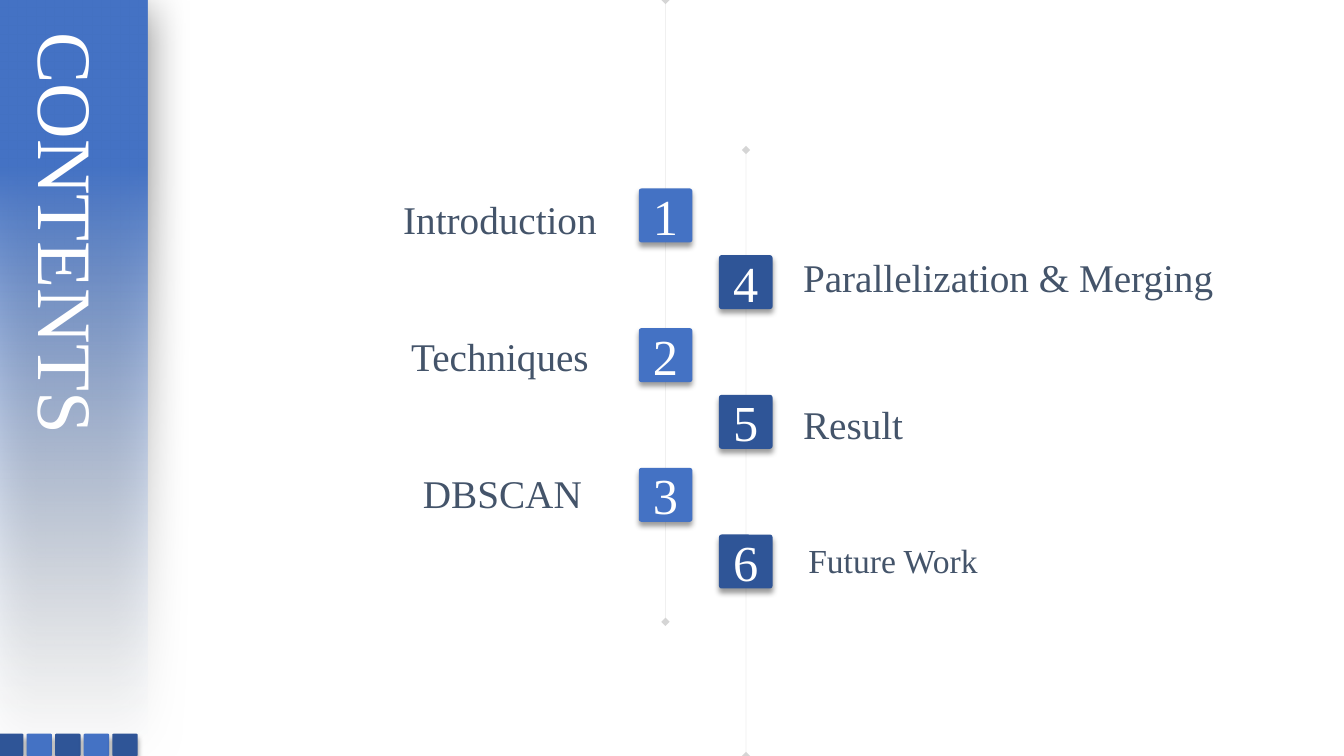
from dataclasses import dataclass

from lxml import etree
from pptx import Presentation
from pptx import util as u
from pptx.dml.color import RGBColor
from pptx.enum import shapes, text
from pptx.oxml import parse_xml
from pptx.oxml.ns import nsdecls, qn
from pptx.util import Cm


@dataclass(frozen=True)
class Theme:
    font: str = "Times New Roman"
    blue: str = "4472C4"
    navy: str = "2F5597"
    pale: str = "F7FAFD"
    ink: str = "44546A"
    white: str = "FFFFFF"
    gray: str = "808080"
    title: int = 55
    num: int = 36
    label: int = 28
    small: int = 24


T = Theme()
MID = text.PP_ALIGN.CENTER
LEFT = text.PP_ALIGN.LEFT


def write(frame, words, size=T.label, color=T.ink, align=LEFT,
          anchor=text.MSO_ANCHOR.TOP, wrap=True):
    frame.word_wrap = wrap
    frame.vertical_anchor = anchor
    frame.text = words
    para = frame.paragraphs[0]
    para.alignment = align
    font = para.font
    font.name, font.size = T.font, u.Pt(size)
    font.color.rgb = RGBColor.from_string(color)


def shade(shape, alpha, blur, dist, angle):
    """Give the shape an outer shadow; blur and dist are in points."""
    shape.element.spPr.append(parse_xml(
        f'<a:effectLst {nsdecls("a")}><a:outerShdw blurRad="{u.Pt(blur)}" '
        f'dist="{u.Pt(dist)}" dir="{angle * 60000}" algn="t" rotWithShape="0">'
        f'<a:srgbClr val="000000"><a:alpha val="{alpha * 1000}"/></a:srgbClr>'
        '</a:outerShdw></a:effectLst>'))


def tile(slide, x, y, w, h, color):
    box = slide.shapes.add_shape(
        shapes.MSO_SHAPE.ROUNDED_RECTANGLE, Cm(x), Cm(y), Cm(w), Cm(h))
    box.adjustments[0] = 0.05
    box.fill.solid()
    box.fill.fore_color.rgb = RGBColor.from_string(color)
    box.line.fill.background()
    shade(box, 40, 4, 3, 90)
    return box


def rail(slide, x, top, end):
    """Draw a faint vertical line with a diamond at each end."""
    line = slide.shapes.add_connector(
        shapes.MSO_CONNECTOR.STRAIGHT, Cm(x), Cm(top), Cm(x), Cm(end))
    line.line.width = u.Pt(0.25)
    line.line.color.rgb = RGBColor.from_string(T.gray)
    ln = line.line._get_or_add_ln()
    tint = ln.find(".//" + qn("a:srgbClr"))
    etree.SubElement(tint, qn("a:alpha")).set("val", "33000")
    for tag in ("a:headEnd", "a:tailEnd"):
        etree.SubElement(ln, qn(tag)).set("type", "diamond")
    etree.SubElement(line.element.spPr, qn("a:effectLst"))


def side(slide, x, y, w, h):
    """Draw the fading band, its row of tiles and the upright title."""
    band = slide.shapes.add_shape(
        shapes.MSO_SHAPE.RECTANGLE, Cm(x), Cm(y), Cm(w), Cm(h - 0.1))
    band.line.fill.background()
    band.element.spPr.find(qn("a:prstGeom")).addnext(parse_xml(
        f'<a:gradFill {nsdecls("a")} rotWithShape="1"><a:gsLst>'
        f'<a:gs pos="0"><a:srgbClr val="{T.blue}"/></a:gs>'
        f'<a:gs pos="22000"><a:srgbClr val="{T.blue}"/></a:gs>'
        f'<a:gs pos="100000"><a:srgbClr val="{T.pale}"><a:alpha val="0"/>'
        '</a:srgbClr></a:gs></a:gsLst><a:lin ang="5400000" scaled="0"/>'
        '</a:gradFill>'))
    shade(band, 50, 31, 6, 97)

    for i in range(5):
        tile(slide, x - 0.05 + i * 0.72, y + h - 0.56, 0.64, 0.56,
             T.blue if i % 2 else T.navy)

    title = slide.shapes.title
    title.left, title.top = Cm(x + 0.3), Cm(y + 0.69)
    title.width, title.height = Cm(2.87), Cm(12.55)
    write(title.text_frame, "CONTENTS", size=T.title, color=T.white)
    title.text_frame.auto_size = text.MSO_AUTO_SIZE.NONE
    title.text_frame._txBody.bodyPr.set("vert", "eaVert")
    band.element.getparent().append(title.element)  # bring above the band


def column(slide, x, y, first, color, items, align):
    """Stack numbered tiles; items hold text, label offset, width and size."""
    for i, (words, dx, dy, w, size) in enumerate(items):
        top = y + i * 3.52
        box = tile(slide, x, top, 1.35, 1.36, color)
        write(box.text_frame, str(first + i), size=T.num, color=T.white,
              align=MID, anchor=text.MSO_ANCHOR.MIDDLE)
        label = slide.shapes.add_textbox(
            Cm(x + dx), Cm(top + dy), Cm(w), Cm(1.45))
        write(label.text_frame, words, size=size, align=align)


def main():
    deck = Presentation()
    deck.slide_width, deck.slide_height = Cm(33.87), Cm(19.05)
    slide = deck.slides.add_slide(deck.slide_layouts.get_by_name("Title Only"))

    rail(slide, 18.8, 3.78, 19.05)
    rail(slide, 16.77, 0, 15.67)
    side(slide, 0, 0, 3.73, 19.05)
    column(slide, 16.1, 4.75, 1, T.blue, [
        ("Introduction", -6.3, 0.05, 5.6, T.label),
        ("Techniques", -6.3, -0.01, 5.6, T.label),
        ("DBSCAN", -6.24, -0.08, 5.6, T.label),
    ], MID)
    column(slide, 18.12, 6.43, 4, T.navy, [
        ("Parallelization & Merging", 1.87, -0.16, 11.2, T.label),
        ("Result", 1.87, 0.01, 3.2, T.label),
        ("Future Work", 2, 0.02, 5, T.small),
    ], LEFT)
    deck.save("out.pptx")


if __name__ == "__main__":
    main()
